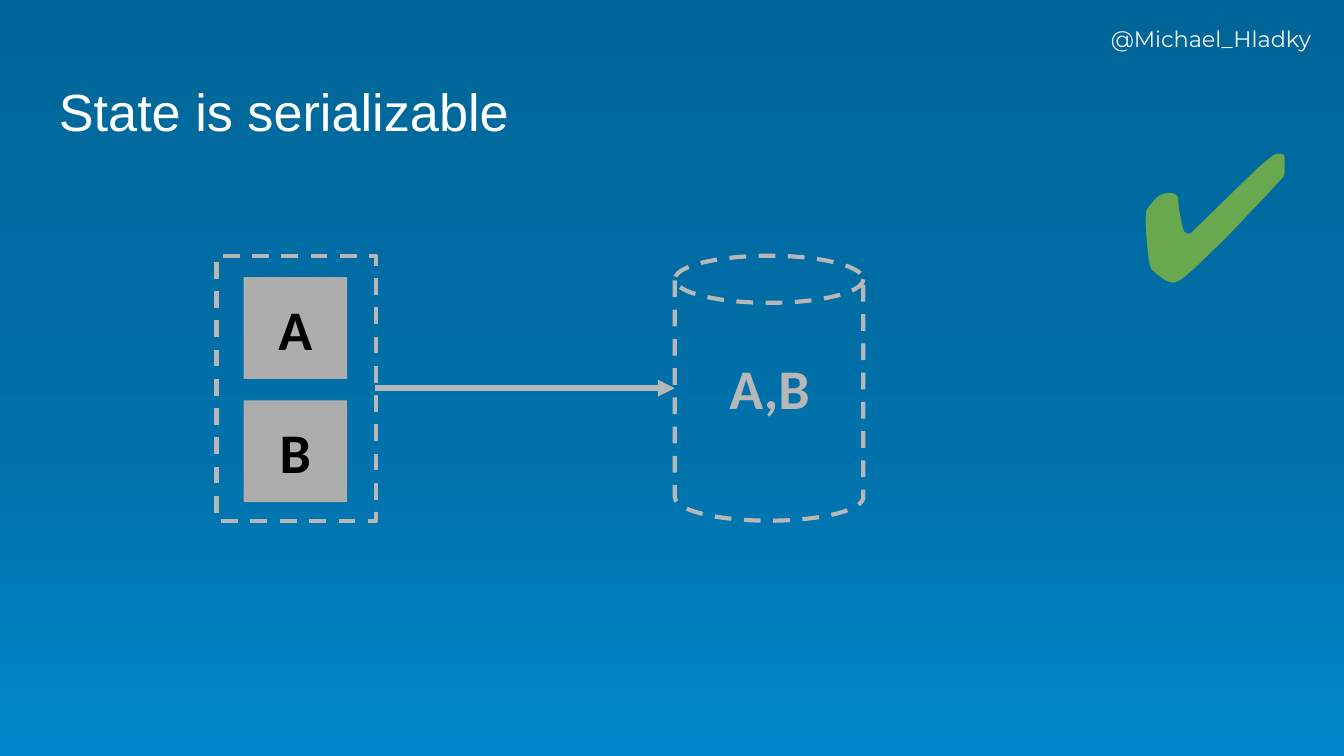
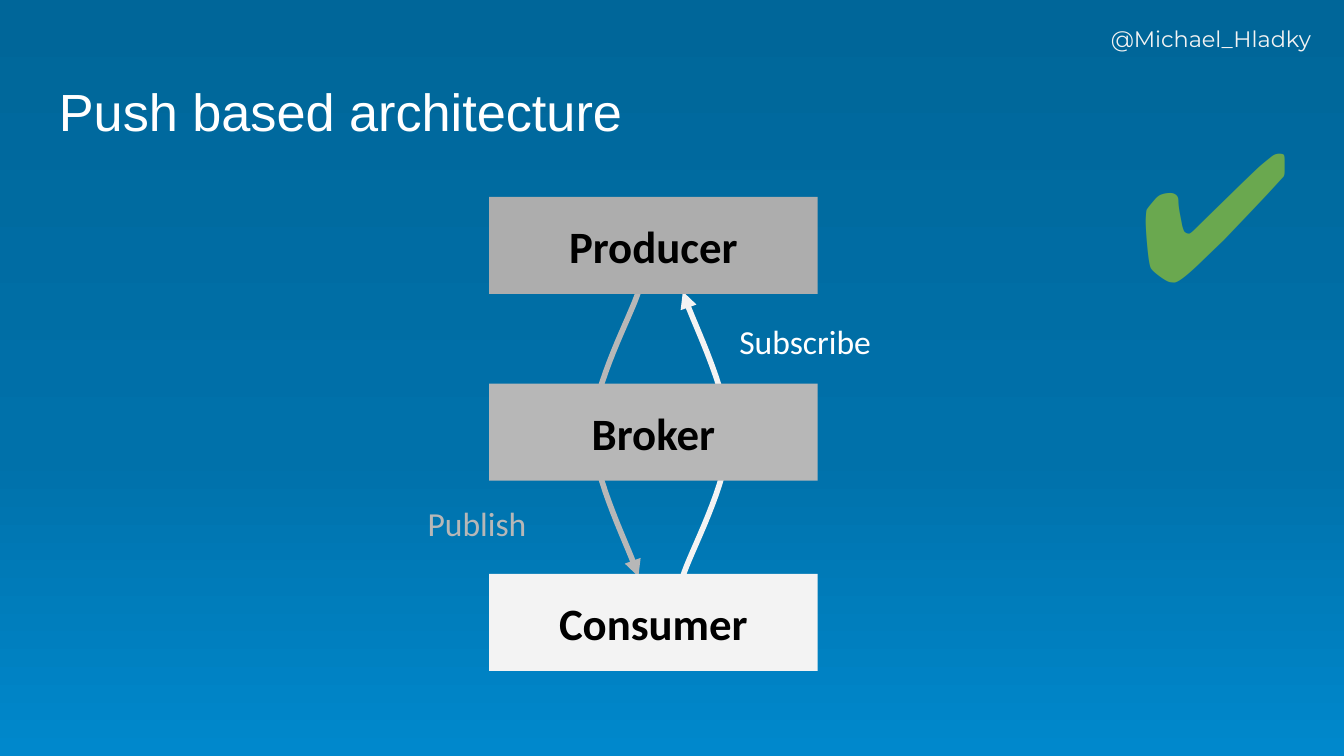
from lxml import etree
from copy import deepcopy
from pptx import Presentation
from pptx.dml.color import RGBColor
from pptx.enum.dml import MSO_LINE
from pptx.enum.shapes import MSO_CONNECTOR, MSO_SHAPE
from pptx.enum.text import MSO_ANCHOR, PP_ALIGN
from pptx.oxml.ns import qn
from pptx.util import Pt

RECTANGLE, CAN = MSO_SHAPE.RECTANGLE, MSO_SHAPE.CAN
STRAIGHT, DASH = MSO_CONNECTOR.STRAIGHT, MSO_LINE.DASH
LEFT, CENTER = PP_ALIGN.LEFT, PP_ALIGN.CENTER
TOP, MIDDLE = MSO_ANCHOR.TOP, MSO_ANCHOR.MIDDLE

WHITE = RGBColor(0xFF, 0xFF, 0xFF)
BLACK = RGBColor(0x00, 0x00, 0x00)
PALE = RGBColor(0xF3, 0xF3, 0xF3)
SILVER = RGBColor(0xB7, 0xB7, 0xB7)
GRAY = RGBColor(0xAD, 0xAD, 0xAD)
GREEN = RGBColor(0x6A, 0xA8, 0x4F)
BACKGROUND = [
    (0, RGBColor(0x00, 0x66, 0x99)),
    (0.6, RGBColor(0x00, 0x71, 0xAA)),
    (1, RGBColor(0x00, 0x88, 0xCC)),
]

TITLE_FONT, BODY_FONT, HANDLE_FONT = "Arial", "Calibri", "Montserrat"
INSET = 7.2
CURVE_STEPS = 16


def write(shape, text, size, color, font=BODY_FONT, bold=False, align=LEFT, anchor=TOP):
    """Put one styled run of text into a shape."""
    frame = shape.text_frame
    frame.word_wrap = True
    frame.vertical_anchor = anchor
    frame.margin_left = frame.margin_right = Pt(INSET)
    frame.margin_top = frame.margin_bottom = Pt(INSET)
    para = frame.paragraphs[0]
    para.alignment = align
    span = para.add_run()
    span.text = text
    span.font.name = font
    span.font.size = Pt(size)
    span.font.bold = bold
    span.font.color.rgb = color


def add_text(page, area, text, size, color, **style):
    """Add a text box over an area."""
    box = page.shapes.add_textbox(*map(Pt, area))
    write(box, text, size, color, **style)


def add_block(page, area, text, size, fill):
    """Add a filled rectangle with a bold centred label."""
    block = page.shapes.add_shape(RECTANGLE, *map(Pt, area))
    block.shadow.inherit = False
    block.fill.solid()
    block.fill.fore_color.rgb = fill
    block.line.fill.background()
    write(block, text, size, BLACK, bold=True, align=CENTER, anchor=MIDDLE)


def add_dashed(page, kind, area):
    """Add an unfilled shape with a dashed outline."""
    outline = page.shapes.add_shape(kind, *map(Pt, area))
    outline.shadow.inherit = False
    outline.fill.background()
    outline.line.color.rgb = SILVER
    outline.line.width = Pt(2.25)
    outline.line.dash_style = DASH


def style_arrow(shape, color, end):
    """Colour a line and put a triangle on its headEnd or tailEnd."""
    shape.line.color.rgb = color
    shape.line.width = Pt(3)
    outline = shape.element.spPr.find(qn("a:ln"))
    etree.SubElement(outline, qn(f"a:{end}"), type="triangle")


def add_arrow(page, start, finish):
    """Add a straight arrow between two points."""
    arrow = page.shapes.add_connector(STRAIGHT, *map(Pt, start + finish))
    style_arrow(arrow, SILVER, "tailEnd")
    etree.SubElement(arrow.element.spPr, qn("a:effectLst"))


def bezier(points):
    """Return evenly sampled points of a cubic curve."""
    samples = []
    for step in range(CURVE_STEPS + 1):
        t = step / CURVE_STEPS
        weights = ((1 - t) ** 3, 3 * t * (1 - t) ** 2, 3 * t * t * (1 - t), t ** 3)
        samples.append(tuple(
            Pt(sum(weight * point[axis] for weight, point in zip(weights, points)))
            for axis in (0, 1)
        ))
    return samples


def add_curve(page, segments, color):
    """Add a curved arrow that points at its first point."""
    points = bezier(segments[0]) + bezier(segments[1])[1:]
    builder = page.shapes.build_freeform(*points[0])
    builder.add_line_segments(points[1:], close=False)
    curve = builder.convert_to_shape()
    curve.shadow.inherit = False
    curve.fill.background()
    style_arrow(curve, color, "headEnd")


def paint_background(page):
    """Fill the page with the three-stop vertical gradient."""
    fill = page.background.fill
    fill.gradient()
    fill.gradient_angle = 270
    stops = page.element.find(".//" + qn("a:gsLst"))
    stops.append(deepcopy(stops[-1]))
    for stop, (position, color) in zip(fill.gradient_stops, BACKGROUND):
        stop.position = position
        stop.color.rgb = color


def add_page(deck, title):
    """Add a page with the shared background, handle, title and check mark."""
    page = deck.slides.add_slide(deck.slide_layouts[6])
    paint_background(page)
    add_text(page, (588, 6, 122.5, 32), "@Michael_Hladky", 12, PALE, font=HANDLE_FONT)
    add_text(page, (24.5, 35.5, 671, 45), title, 28, WHITE, font=TITLE_FONT)
    add_text(page, (602.5, 61, 88.5, 102), "✔", 96, GREEN, anchor=MIDDLE)
    return page


def build_state(deck):
    """Show state items stored together."""
    page = add_page(deck, "State is serializable")
    top, height = 137, 142
    add_arrow(page, (201, 208), (361.5, 208))
    add_dashed(page, RECTANGLE, (116, top, 85.5, height))
    for row, name in enumerate("AB"):
        add_block(page, (130.5, 148.5 + 66 * row, 55.5, 54.5), name, 30, GRAY)
    add_dashed(page, CAN, (361.5, top, 101, height))
    add_text(page, (374.5, 182, 75.5, 51), "A,B", 30, SILVER,
             bold=True, align=CENTER, anchor=MIDDLE)


def build_push(deck):
    """Show the publish and subscribe loop through a broker."""
    page = add_page(deck, "Push based architecture")
    subscribe = [
        [(365.8, 156.2), (369.3, 169.2), (390.2, 208), (390.2, 234)],
        [(390.2, 234), (390.2, 259.2), (369.3, 296.6), (365.8, 308.9)],
    ]
    publish = [[(707.8 - x, 465.1 - y) for x, y in part] for part in subscribe]
    add_curve(page, publish, SILVER)
    add_curve(page, subscribe, PALE)
    for name, top, fill in (
        ("Producer", 105.5, GRAY),
        ("Broker", 205.5, SILVER),
        ("Consumer", 307.5, PALE),
    ):
        add_block(page, (262, top, 176, 52), name, 24, fill)
    add_text(page, (222, 262, 83, 33), "Publish", 18, SILVER)
    add_text(page, (389, 165, 97, 33), "Subscribe", 18, WHITE)


def main():
    """Build and save the deck."""
    deck = Presentation()
    deck.slide_width, deck.slide_height = Pt(720), Pt(405)
    build_state(deck)
    build_push(deck)
    deck.save("out.pptx")


if __name__ == "__main__":
    main()
